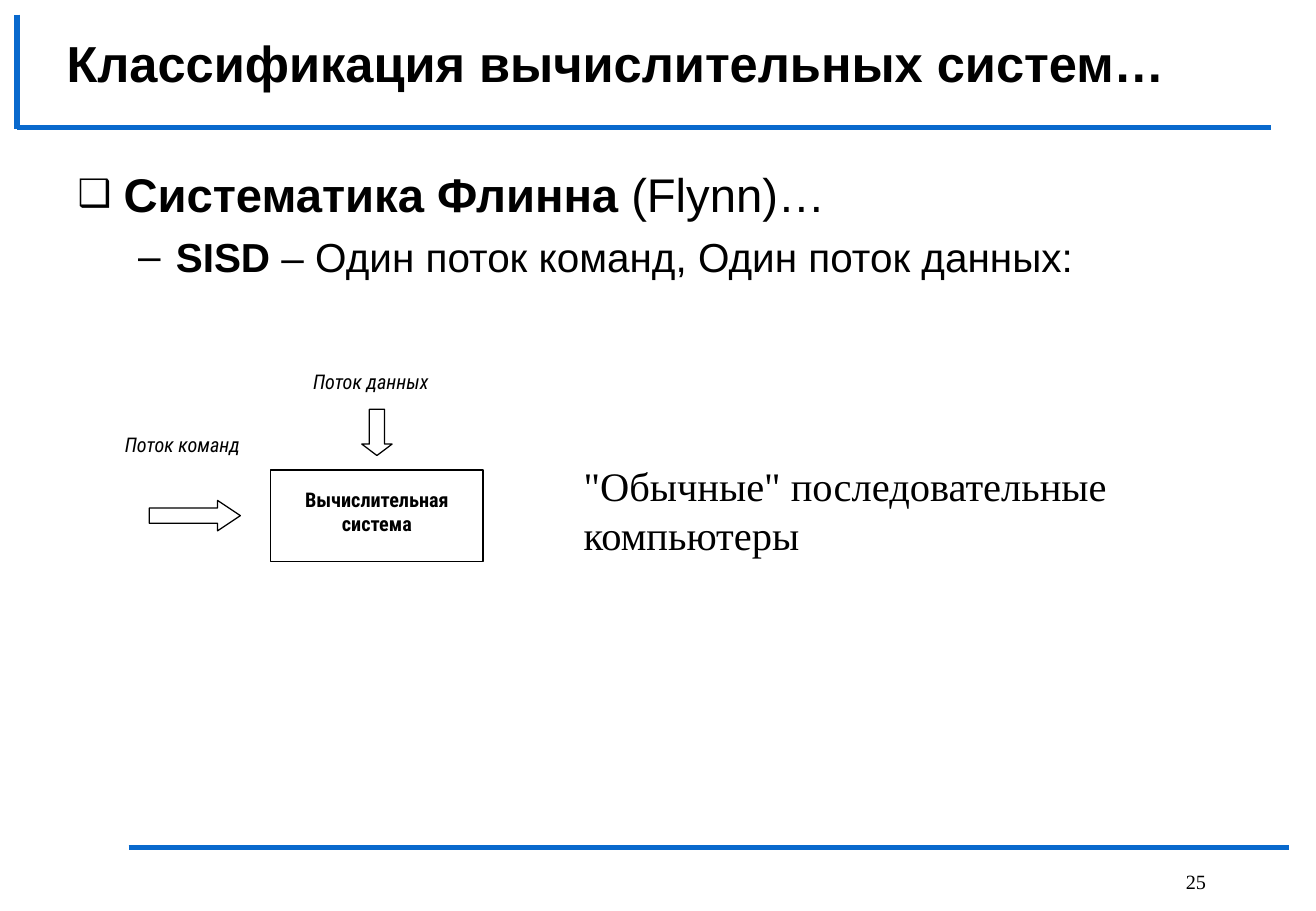
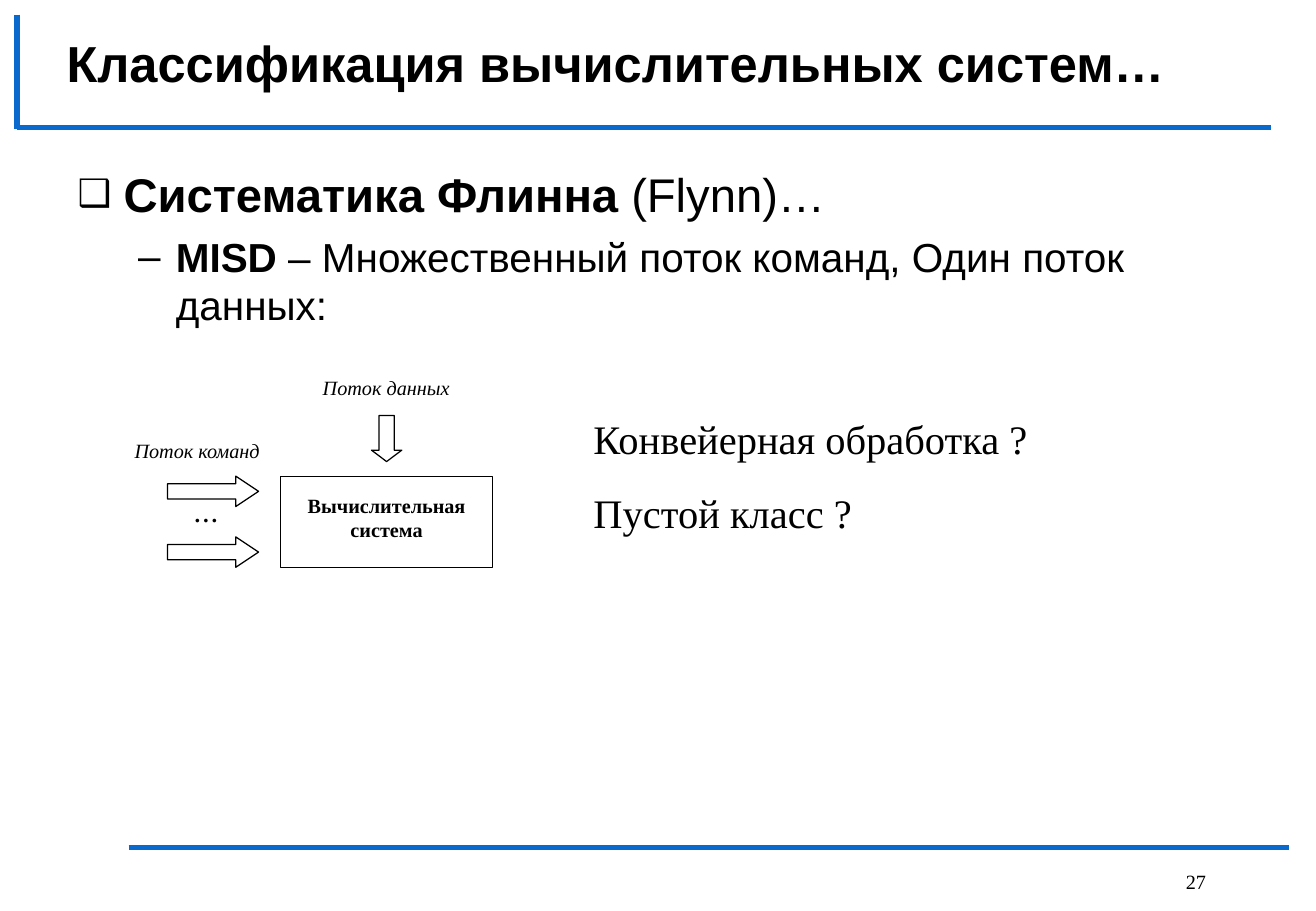
import pptx
import pptx.dml.color
import pptx.enum.shapes
import pptx.enum.text
import pptx.oxml.ns
import pptx.util
from lxml import etree

PX = 9144  # EMU per px, 100 px to the inch
COLORS = {"accent": "0969CD", "text": "000000", "fill": "FFFFFF"}
SANS, SERIF, NARROW = "Arial", "Times New Roman", "Roboto Condensed"
TITLE = "Классификация вычислительных систем…"
SHAPES = pptx.enum.shapes.MSO_SHAPE
ANCHOR = pptx.enum.text.MSO_ANCHOR
ALIGN = pptx.enum.text.PP_ALIGN


def px(*lengths):
    return [pptx.util.Emu(n * PX) for n in lengths]


def rgb(name):
    return pptx.dml.color.RGBColor.from_string(COLORS[name])


def sub(parent, tag, **attrs):
    return etree.SubElement(parent, pptx.oxml.ns.qn(tag), **attrs)


def format_run(r, size, font=SANS, bold=False, italic=False):
    r.font.size = pptx.util.Pt(size)
    r.font.name = font
    r.font.bold = bold
    r.font.italic = italic
    r.font.color.rgb = rgb("text")


def add_line(s, x1, y1, x2, y2):
    line = s.shapes.add_connector(pptx.enum.shapes.MSO_CONNECTOR.STRAIGHT, *px(x1, y1, x2, y2))
    line.line.color.rgb = rgb("accent")
    line.line.width = pptx.util.Pt(3)
    sub(line._element.spPr, "a:effectLst")


def add_text(s, box, lines, size, space=0, anchor=ANCHOR.TOP, **style):
    sp = s.shapes.add_textbox(*px(*box))
    tf = sp.text_frame
    tf.word_wrap = True
    tf.vertical_anchor = anchor
    tf.text = "\n".join(lines)
    for p in tf.paragraphs:
        p.space_before = pptx.util.Pt(space)
        for r in p.runs:
            format_run(r, size, **style)
    return sp


def add_outlined(s, kind, box, adjustments=()):
    sp = s.shapes.add_shape(kind, *px(*box))
    sp.shadow.inherit = False
    sp.fill.solid()
    sp.fill.fore_color.rgb = rgb("fill")
    sp.line.color.rgb = rgb("text")
    sp.line.width = pptx.util.Pt(0.75)
    for i, value in enumerate(adjustments):
        sp.adjustments[i] = value
    return sp


def add_bullet(p, char, lead, rest, size, space, left, hang, percent=100):
    p.text = lead
    p.add_run().text = rest
    for r, bold in zip(p.runs, (True, False)):
        format_run(r, size, bold=bold)
    p.space_before = pptx.util.Pt(space)
    pPr = p._p.get_or_add_pPr()
    pPr.set("marL", str(left * PX))
    pPr.set("indent", str(-hang * PX))
    sub(sub(pPr, "a:buClr"), "a:srgbClr", val=COLORS["text"])
    sub(pPr, "a:buSzPct", val=str(percent * 1000))
    sub(pPr, "a:buFont", typeface=SANS)
    sub(pPr, "a:buChar", char=char)


def add_frame(prs, number):
    s = prs.slides.add_slide(prs.slide_layouts[6])
    # Rules around the title and above the footer
    add_line(s, 106, 698, 1062, 698)
    add_line(s, 14, 105, 1047, 105)
    add_line(s, 14, 12, 14, 106)
    # Title and slide number
    add_text(s, (45, 21, 993, 61), [TITLE], 30, anchor=ANCHOR.MIDDLE, bold=True)
    footer = add_text(s, (967, 701, 116, 49), [str(number)], 12, font=SERIF)
    footer.text_frame.paragraphs[0].line_spacing = 1.5
    return s


def add_body(s, abbreviation, meaning):
    tf = s.shapes.add_textbox(*px(54, 131, 975, 410)).text_frame
    tf.word_wrap = True
    add_bullet(tf.paragraphs[0], "❑", "Систематика Флинна", " (Flynn)…", 28, 7, 38, 38, 80)
    p = tf.add_paragraph()
    p.level = 1
    add_bullet(p, "–", abbreviation, meaning, 24, 6, 81, 31)


def add_diagram(s, x, y, font, command_arrows):
    """Draw the computing system with its box at x, y and its streams around it."""
    # Stream labels
    add_text(s, (x - 130, y - 36, 138, 36), ["Поток команд"], 12, font=font, italic=True)
    add_text(s, (x + 25, y - 88, 138, 37), ["Поток данных"], 12, font=font, italic=True)
    # Stream arrows
    add_outlined(s, SHAPES.DOWN_ARROW, (x + 75, y - 50, 25, 38), (0.5, 0.375))
    for left, top in command_arrows:
        add_outlined(s, SHAPES.RIGHT_ARROW, (left, top, 75, 25), (0.5, 0.75))
    # System box
    tf = add_outlined(s, SHAPES.RECTANGLE, (x, y, 175, 75)).text_frame
    tf.word_wrap = True
    tf.vertical_anchor = ANCHOR.TOP
    tf.margin_left, tf.margin_top, tf.margin_right = px(17, 14, 17)
    tf.text = "Вычислительная система"
    p = tf.paragraphs[0]
    p.alignment = ALIGN.CENTER
    format_run(p.runs[0], 12, font=font, bold=True)


def build_sisd(prs):
    s = add_frame(prs, 25)
    add_body(s, "SISD", " – Один поток команд, Один поток данных:")
    add_diagram(s, 223, 387, NARROW, [(123, 412)])
    add_text(s, (471, 375, 551, 90), ['"Обычные" последовательные компьютеры'], 24, font=SERIF)


def build_misd(prs):
    s = add_frame(prs, 27)
    add_body(s, "MISD", " – Множественный поток команд, Один поток данных:")
    add_diagram(s, 231, 392, SERIF, [(138, 392), (138, 442)])
    add_text(s, (151, 417, 50, 25), ["• • •"], 8)
    add_text(s, (479, 336, 551, 111), ["Конвейерная обработка ?", "Пустой класс ?"], 24,
             space=15, font=SERIF)


def main():
    prs = pptx.Presentation()
    prs.slide_width, prs.slide_height = px(1084, 750)
    build_sisd(prs)
    build_misd(prs)
    prs.save("out.pptx")


if __name__ == "__main__":
    main()
